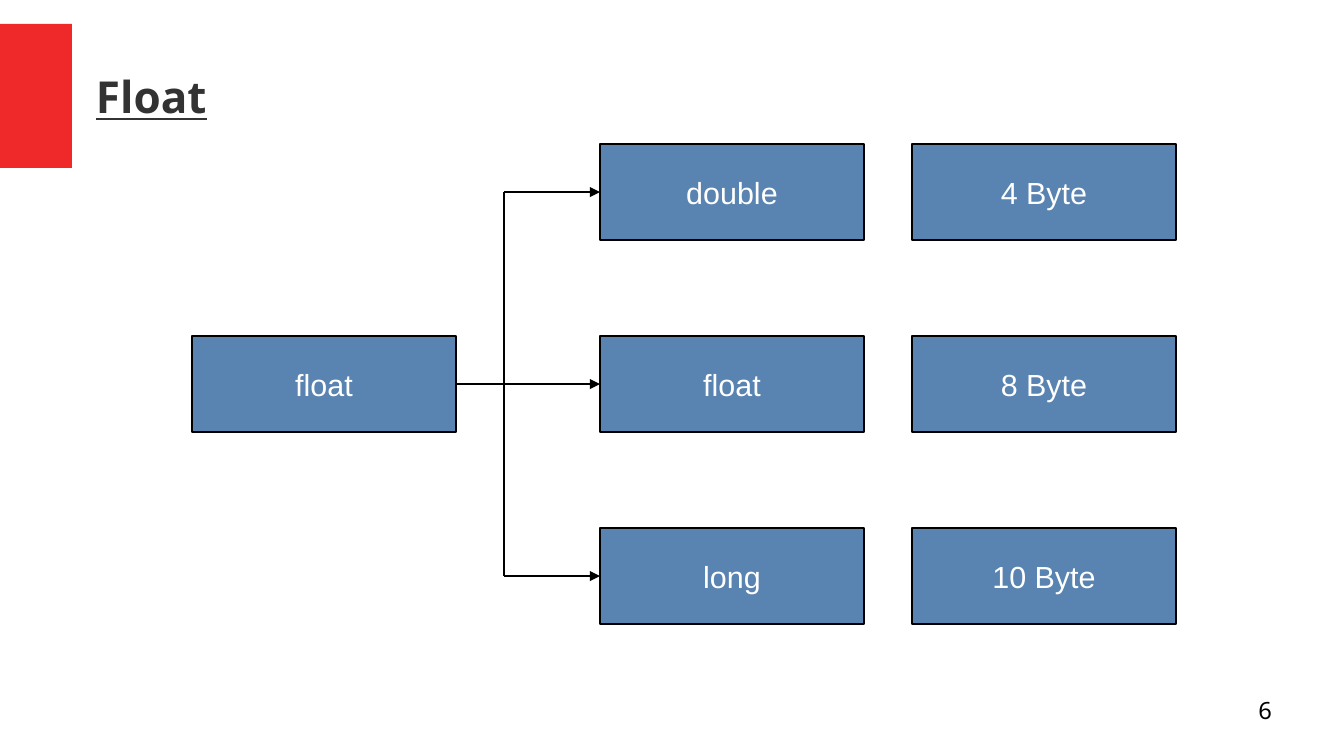
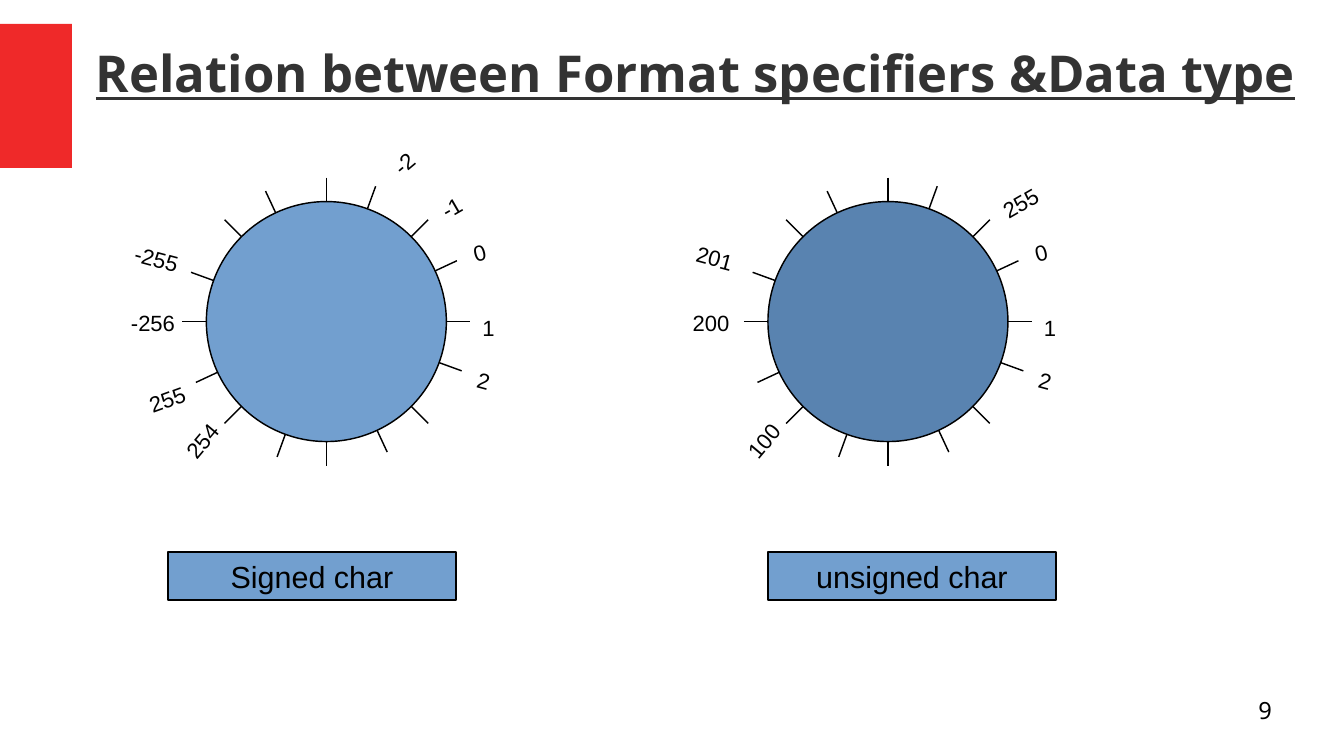
from math import cos, radians, sin

from lxml.etree import SubElement
from pptx import Presentation
from pptx.dml.color import RGBColor
from pptx.enum.shapes import MSO_CONNECTOR, MSO_SHAPE
from pptx.enum.text import MSO_ANCHOR, PP_ALIGN
from pptx.oxml.ns import qn
from pptx.util import Cm, Pt

COLS, ROWS = 56, 31.5
RED, STEEL, SKY = "EF2929", "5983B0", "729FCF"
BLACK, WHITE, GREY = "000000", "FFFFFF", "333333"
SANS, HEAD = "Arial", "Noto Sans"
THIN = Pt(0.85)
SPOKES = (0, 20, 45, 65, 90, 135, 155, 290)
SLOTS = {
    "peak": (2.08, -7.98, 3.66, 320),
    "high": (4, -6.6, 6, 330),
    "zero": (5.54, -4.27, 6, 345),
    "one": (6, -0.56, 6, 0),
    "two": (5.74, 2.24, 6, 15),
    "foot": (-6.7, 3.71, 3.76, 310),
    "low": (-7.92, 2.39, 2.74, 340),
    "west": (-8.64, -0.76, 6, 0),
    "upper": (-8.53, -3, 6, 15),
}


def grid(*cells):
    return [Cm(cell / 2) for cell in cells]


def paint(part, color):
    if hasattr(part, "solid"):
        part.solid()
        part.fore_color.rgb = RGBColor.from_string(color)
    else:
        part.color.rgb = RGBColor.from_string(color)


def write(shape, text, size=18, color=BLACK, font=SANS, bold=False,
          align=PP_ALIGN.LEFT, anchor=MSO_ANCHOR.TOP, inset=(0.1, 0.05), wrap=True):
    frame = shape.text_frame
    frame.word_wrap = wrap
    frame.vertical_anchor = anchor
    frame.margin_left = frame.margin_right = Pt(inset[0] * 72)
    frame.margin_top = frame.margin_bottom = Pt(inset[1] * 72)
    para = frame.paragraphs[0]
    para.alignment = align
    run = para.add_run()
    run.text = text
    run.font.size = Pt(size)
    run.font.name = font
    run.font.bold = run.font.underline = bold
    paint(run.font, color)


def label(shapes, cells, text, turn=0, **style):
    box = shapes.add_textbox(*grid(*cells))
    box.rotation = turn
    write(box, text, **style)


def solid(shapes, kind, cells, fill, edge=True):
    shape = shapes.add_shape(kind, *grid(*cells))
    shape.shadow.inherit = False
    paint(shape.fill, fill)
    if edge:
        paint(shape.line, BLACK)
        shape.line.width = THIN
    else:
        shape.line.fill.background()
    return shape


def block(shapes, cells, text, fill=STEEL, color=WHITE):
    shape = solid(shapes, MSO_SHAPE.RECTANGLE, cells, fill)
    write(shape, text, color=color, align=PP_ALIGN.CENTER,
          anchor=MSO_ANCHOR.MIDDLE, wrap=False)
    return shape


def stroke(shapes, start, end, arrow=False):
    line = shapes.add_connector(MSO_CONNECTOR.STRAIGHT, *grid(*start, *end))
    paint(line.line, BLACK)
    line.line.width = THIN
    if arrow:
        SubElement(line.line._get_or_add_ln(), qn("a:tailEnd"), type="triangle")
    SubElement(line._element.spPr, qn("a:effectLst"))
    return line


def page(deck, title, number, size, rows):
    shapes = deck.slides.add_slide(deck.slide_layouts[6]).shapes
    solid(shapes, MSO_SHAPE.RECTANGLE, (0, 1, 3, 6), RED, edge=False)
    label(shapes, (4, 1, 51, rows), title, size=size, color=GREY, font=HEAD,
          bold=True, anchor=MSO_ANCHOR.MIDDLE, inset=(0, 0))
    label(shapes, (40, 29, 13, 2.2), number, size=14, font=HEAD,
          align=PP_ALIGN.RIGHT, inset=(0, 0))
    return shapes


def tree(shapes, root, leaves):
    wide, high, step, top, trunk, left = 11, 4, 8, 6, 21, 25
    mids = [top + high / 2 + step * row for row in range(len(leaves))]
    centre = len(leaves) // 2
    base = block(shapes, (8, mids[centre] - high / 2, wide, high), root)
    stroke(shapes, (trunk, mids[0]), (trunk, mids[-1]))
    for row, (name, bytes_) in enumerate(leaves):
        mid = mids[row]
        leaf = block(shapes, (left, mid - high / 2, wide, high), name)
        block(shapes, (left + wide + 2, mid - high / 2, wide, high), bytes_)
        arrow = stroke(shapes, (trunk, mid), (left, mid), arrow=True)
        if row == centre:
            arrow.begin_connect(base, 3)
        arrow.end_connect(leaf, 1)


def dial(shapes, x, fill, marks, y=13.4, disc=5, reach=6):
    group = shapes.add_group_shape().shapes
    for angle in SPOKES:
        dx, dy = reach * cos(radians(angle)), reach * sin(radians(angle))
        stroke(group, (x - dx, y - dy), (x + dx, y + dy))
    solid(group, MSO_SHAPE.OVAL, (x - disc, y - disc, 2 * disc, 2 * disc), fill)
    for slot, text in marks.items():
        dx, dy, wide, turn = SLOTS[slot]
        label(group, (x + dx, y + dy, wide, 1.52), text, turn, size=13)


def main():
    deck = Presentation()
    deck.slide_width, deck.slide_height = grid(COLS, ROWS)

    shapes = page(deck, "Float", "6", size=26, rows=6)
    tree(shapes, "float",
         [("double", "4 Byte"), ("float", "8 Byte"), ("long", "10 Byte")])

    shapes = page(deck, "Relation between Format specifiers &Data type", "9",
                  size=30, rows=4)
    both = {"zero": "0", "one": "1", "two": "2"}
    dial(shapes, 13.6, SKY, {**both, "peak": "-2", "high": "-1", "low": "255",
                             "west": "-256", "upper": "-255", "foot": "254"})
    dial(shapes, 37, STEEL, {**both, "high": "255", "west": "200",
                             "upper": "201", "foot": "100"})
    for left, text in ((7, "Signed char"), (32, "unsigned char")):
        block(shapes, (left, 23, 12, 2), text, fill=SKY, color=BLACK)

    deck.save("out.pptx")


if __name__ == "__main__":
    main()
